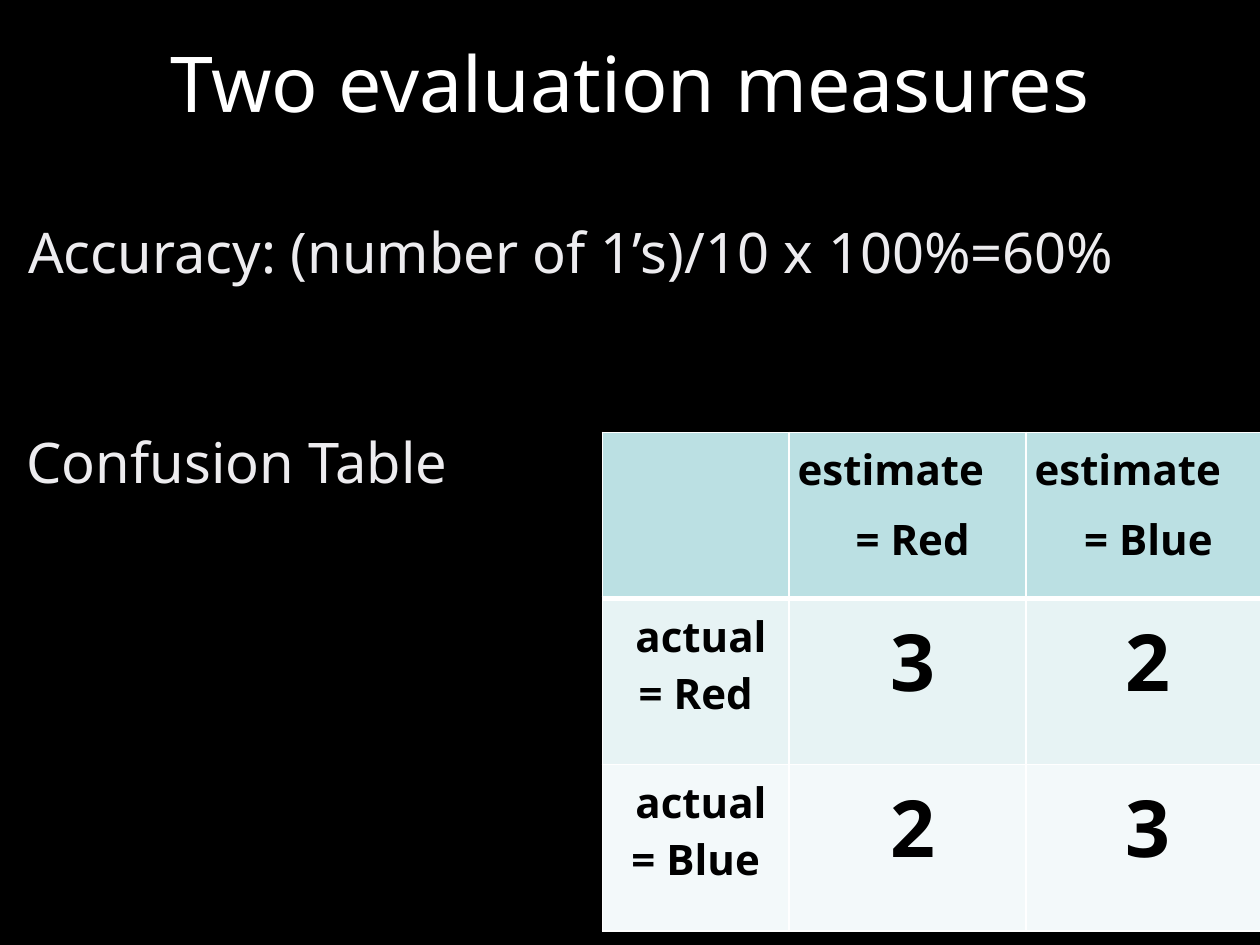
from dataclasses import dataclass

from lxml.etree import SubElement
from pptx import Presentation
from pptx.dml.color import RGBColor
from pptx.enum.text import MSO_ANCHOR, MSO_AUTO_SIZE, PP_ALIGN
from pptx.oxml.ns import qn
from pptx.util import Pt


@dataclass(frozen=True)
class Theme:
    font: str = "Noto Sans"
    background: str = "000000"
    title: str = "FFFFFF"
    body: str = "EDECEF"
    cell_text: str = "000000"
    border: str = "FFFFFF"
    row_fills: tuple = ("BBE0E3", "E7F3F4", "F3F9FA")
    title_size: float = 44
    body_size: float = 32
    label_size: float = 24
    count_size: float = 45


class SlideBuilder:
    def __init__(self, theme, slide):
        self.theme = theme
        self.slide = slide
        slide.background.fill.solid()
        slide.background.fill.fore_color.rgb = RGBColor.from_string(theme.background)

    def place(self, shape, box):
        shape.left, shape.top, shape.width, shape.height = map(Pt, box)

    def style(self, paragraph, size, color, bold=False):
        font = paragraph.font
        font.name, font.size, font.bold = self.theme.font, Pt(size), bold
        font.color.rgb = RGBColor.from_string(color)

    def frame(self, shape, text, anchor):
        frame = shape.text_frame
        frame.text = text
        frame.word_wrap = True
        frame.auto_size = MSO_AUTO_SIZE.NONE
        frame.vertical_anchor = anchor
        frame.margin_left = frame.margin_right = Pt(3)
        frame.margin_top = frame.margin_bottom = Pt(3)
        return frame.paragraphs[0]

    def title(self, text, box):
        heading = self.slide.shapes.title
        self.place(heading, box)
        paragraph = self.frame(heading, text, MSO_ANCHOR.MIDDLE)
        paragraph.alignment = PP_ALIGN.CENTER
        self.style(paragraph, self.theme.title_size, self.theme.title)

    def statement(self, shape, text, box):
        """A line of body text with a hanging indent and no bullet."""
        self.place(shape, box)
        paragraph = self.frame(shape, text, MSO_ANCHOR.TOP)
        paragraph.space_before = Pt(8)
        self.style(paragraph, self.theme.body_size, self.theme.body)
        properties = paragraph._p.get_or_add_pPr()
        properties.set("marL", str(Pt(27)))
        properties.set("indent", str(-Pt(27)))
        SubElement(properties, qn("a:buNone"))

    def cell_borders(self, cell, widths):
        properties = cell._tc.get_or_add_tcPr()
        for side, width in zip("LRTB", widths):
            line = SubElement(properties, qn(f"a:ln{side}"), w=str(Pt(width)))
            fill = SubElement(line, qn("a:solidFill"))
            SubElement(fill, qn("a:srgbClr"), val=self.theme.border)

    def cell_text(self, cell, text, size, is_header):
        cell.margin_left = cell.margin_right = Pt(5)
        cell.margin_top = cell.margin_bottom = Pt(5)
        cell.text = text
        for index, paragraph in enumerate(cell.text_frame.paragraphs):
            paragraph.space_before = Pt(7)
            self.style(paragraph, size, self.theme.cell_text, bold=True)
            # The first line of a header sits at the left edge
            if is_header and index == 0:
                paragraph.alignment = PP_ALIGN.LEFT
            else:
                paragraph.alignment = PP_ALIGN.CENTER
                paragraph._p.get_or_add_pPr().set("indent", str(Pt(6)))

    def confusion_table(self, rows, left, top, column_widths, row_height):
        table = self.slide.shapes.add_table(
            len(rows), len(column_widths), Pt(left), Pt(top),
            Pt(sum(column_widths)), Pt(row_height * len(rows))).table
        for column, width in zip(table.columns, column_widths):
            column.width = Pt(width)
        for r, values in enumerate(rows):
            table.rows[r].height = Pt(row_height)
            for c, value in enumerate(values):
                cell = table.cell(r, c)
                # A heavier rule separates the header row
                self.cell_borders(cell, (1, 1, 3 if r == 1 else 1, 3 if r == 0 else 1))
                cell.fill.solid()
                cell.fill.fore_color.rgb = RGBColor.from_string(self.theme.row_fills[r])
                size = self.theme.count_size if r and c else self.theme.label_size
                self.cell_text(cell, value, size, is_header=r == 0)


def main():
    deck = Presentation()
    deck.slide_width, deck.slide_height = Pt(720), Pt(540)
    slide = deck.slides.add_slide(deck.slide_layouts[1])
    builder = SlideBuilder(Theme(), slide)

    # Accuracy measure
    builder.title("Two evaluation measures", (36, -13, 648, 119))
    builder.statement(slide.placeholders[1], "Accuracy: (number of 1’s)/10 x 100%=60%",
                      (13, 121, 694, 57.6))

    # Confusion table measure
    builder.confusion_table(
        [("", "estimate\n= Red", "estimate\n= Blue"),
         ("actual = Red", "3", "2"),
         ("actual = Blue", "2", "3")],
        left=344.2, top=247, column_widths=(106.6, 135.4, 134), row_height=95)
    confusion_box = (12.2, 241.2, 282.2, 57.6)
    confusion_label = slide.shapes.add_textbox(*map(Pt, confusion_box))
    builder.statement(confusion_label, "Confusion Table", confusion_box)

    deck.save("out.pptx")


if __name__ == "__main__":
    main()
